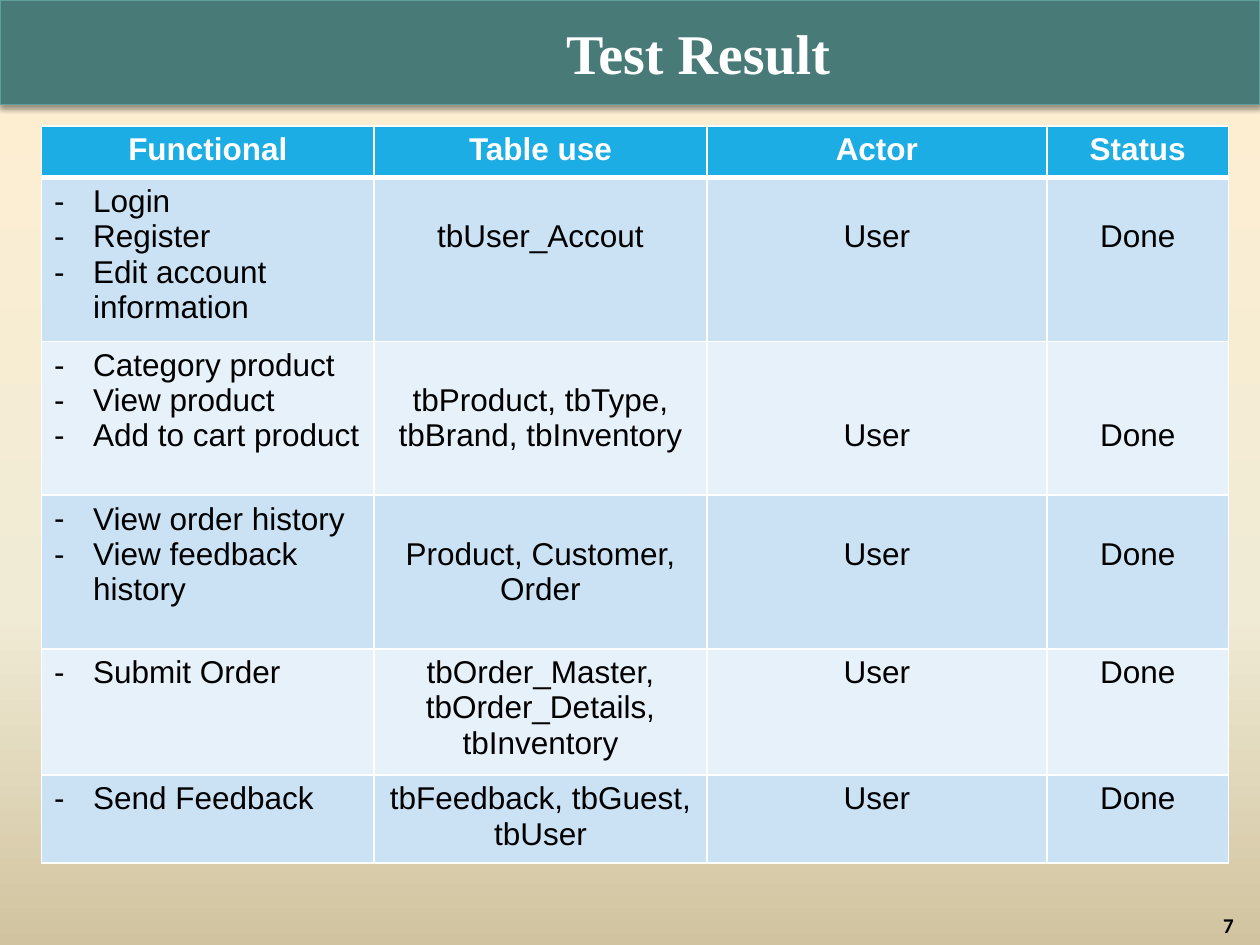
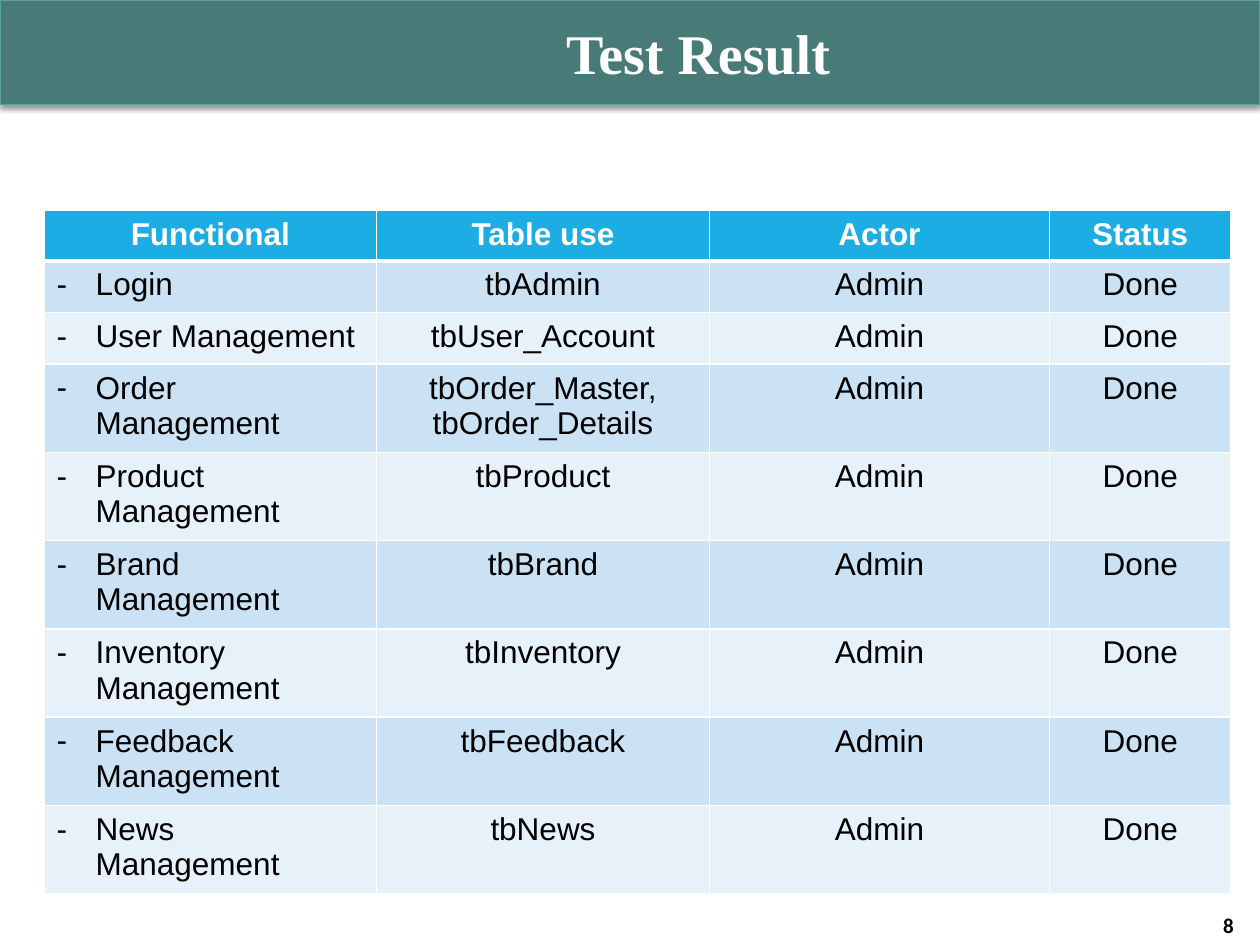
from copy import deepcopy
from dataclasses import dataclass
from typing import Any

from lxml.etree import SubElement
from pptx import Presentation
from pptx.dml.color import RGBColor
from pptx.enum.shapes import MSO_SHAPE as Shape
from pptx.enum.text import MSO_ANCHOR as Anchor, PP_ALIGN as Align
from pptx.oxml.ns import qn
from pptx.util import Emu, Inches, Pt

COLORS = {
    "band": "487B78", "band_line": "5DA09C", "shadow": "000000",
    "white": "FFFFFF", "ink": "000000", "header": "1CADE4",
    "odd_row": "CBE2F5", "even_row": "E7F1FA",
    "sky": "FFEFD1", "haze": "F0EBD5", "sand": "D1C39F",
}

# The slide is a grid of 100 columns by 75 rows with square cells
SLIDE_WIDTH, SLIDE_HEIGHT = Inches(10), Inches(7.5)
GRID_COLUMNS, GRID_ROWS = 100, 75
UNIT = SLIDE_WIDTH / GRID_COLUMNS
BAND_ROWS = 8.3
TABLE_COLUMNS = (26.4, 26.4, 27, 14.4)
LINE_ROWS, CELL_PADDING, MIN_ROW = 2.8, 0.5, 4.1
BULLET_INDENT = 3.1

FORMATS: dict[str, dict[str, Any]] = {
    "title": {"name": "Times New Roman", "size": Pt(32), "bold": True},
    "number": {"name": "Calibri", "size": Pt(12), "bold": True},
    "header": {"name": "Arial", "size": Pt(18), "bold": True},
    "body": {"name": "Arial", "size": Pt(18), "bold": False},
}
HEADINGS = ("Functional", "Table use", "Actor", "Status")


@dataclass(frozen=True)
class Area:
    left: float
    top: float
    width: float
    height: float

    def lengths(self) -> tuple[Emu, ...]:
        return tuple(map(grid, (self.left, self.top, self.width, self.height)))


@dataclass(frozen=True)
class TestRow:
    functions: tuple[str, ...]
    tables: str
    lines: int = 2
    drop: tuple[int, int] = (0, 0)  # lines left free above tables, above actor and status


@dataclass(frozen=True)
class ResultPage:
    number: int
    actor: str
    left: float
    top: float
    header_rows: float
    rows: tuple[TestRow, ...]
    gradient: tuple[tuple[str, float], ...] = ()


PAGES = (
    ResultPage(7, "User", 3.3, 10, 4.1, (
        TestRow(("Login", "Register", "Edit account information"), "tbUser_Accout", 4, (1, 1)),
        TestRow(("Category product", "View product", "Add to cart product"),
                "tbProduct, tbType, tbBrand, tbInventory", 4, (1, 2)),
        TestRow(("View order history", "View feedback history"),
                "Product, Customer, Order", 4, (1, 1)),
        TestRow(("Submit Order",), "tbOrder_Master, tbOrder_Details, tbInventory", 3),
        TestRow(("Send Feedback",), "tbFeedback, tbGuest, tbUser"),
    ), (("sky", 0), ("haze", 0.65), ("sand", 1))),
    ResultPage(8, "Admin", 3.5, 16.7, 3.8, (
        TestRow(("Login",), "tbAdmin", 1),
        TestRow(("User Management",), "tbUser_Account", 1),
        TestRow(("Order Management",), "tbOrder_Master, tbOrder_Details"),
        TestRow(("Product Management",), "tbProduct"),
        TestRow(("Brand Management",), "tbBrand"),
        TestRow(("Inventory Management",), "tbInventory"),
        TestRow(("Feedback Management",), "tbFeedback"),
        TestRow(("News Management",), "tbNews"),
    )),
)


def grid(cells: float) -> Emu:
    return Emu(round(cells * UNIT))


def color(name: str) -> RGBColor:
    return RGBColor.from_string(COLORS[name])


def write(para: Any, text: str, style: str, ink: str, align: Any) -> None:
    para.alignment = align
    span = para.add_run()
    span.text = text
    for key, value in FORMATS[style].items():
        setattr(span.font, key, value)
    span.font.color.rgb = color(ink)


def paint_background(page: Any, stops: tuple[tuple[str, float], ...]) -> None:
    fill = page.background.fill
    if not stops:
        fill.solid()
        fill.fore_color.rgb = color("white")
        return
    fill.gradient()
    fill.gradient_angle = 270
    stop_list = page.element.find(".//" + qn("a:gsLst"))
    while len(stop_list) < len(stops):
        stop_list.append(deepcopy(stop_list[0]))
    for stop, (name, position) in zip(fill.gradient_stops, stops):
        stop.color.rgb = color(name)
        stop.position = position


def add_band(page: Any) -> None:
    band = page.shapes.add_shape(Shape.RECTANGLE, *Area(0, 0, GRID_COLUMNS, BAND_ROWS).lengths())
    band.fill.solid()
    band.fill.fore_color.rgb = color("band")
    band.line.color.rgb = color("band_line")
    band.line.width = Pt(0.75)
    # Soft shadow straight below the band
    band.shadow.inherit = False
    effects = band.element.spPr.find(qn("a:effectLst"))
    shadow = SubElement(effects, qn("a:outerShdw"), blurRad=str(Pt(3.1)),
                        dist=str(Pt(1.6)), dir="5400000", rotWithShape="0")
    tint = SubElement(shadow, qn("a:srgbClr"), val=COLORS["shadow"])
    SubElement(tint, qn("a:alpha"), val="38000")


def add_label(page: Any, area: Area, text: str, style: str, ink: str,
              align: Any, left_inset: float = 1) -> None:
    box = page.shapes.add_textbox(*area.lengths())
    frame = box.text_frame
    settings = {"word_wrap": True, "vertical_anchor": Anchor.MIDDLE,
                "margin_left": grid(left_inset)}
    for key, value in settings.items():
        setattr(frame, key, value)
    write(frame.paragraphs[0], text, style, ink, align)


def add_bullet(para: Any) -> None:
    indent = grid(BULLET_INDENT)
    props = para._p.get_or_add_pPr()
    props.set("marL", str(indent))
    props.set("indent", str(-indent))
    tint = SubElement(props, qn("a:buClr"))
    SubElement(tint, qn("a:srgbClr"), val=COLORS["ink"])
    SubElement(props, qn("a:buFont"), typeface="Arial")
    SubElement(props, qn("a:buChar"), char="-")


def style_cell(cell: Any, row: int) -> None:
    # Borders: a thick line parts the header from the body
    props = cell._tc.get_or_add_tcPr()
    widths = {"L": 1, "R": 1, "T": 3 if row == 1 else 1, "B": 3 if row == 0 else 1}
    for side, width in widths.items():
        line = SubElement(props, qn(f"a:ln{side}"), w=str(Pt(width)))
        SubElement(SubElement(line, qn("a:solidFill")), qn("a:srgbClr"), val=COLORS["white"])
    cell.fill.solid()
    cell.fill.fore_color.rgb = color("header" if row == 0 else "odd_row" if row % 2 else "even_row")


def fill_cell(cell: Any, row: int, texts: tuple[str, ...], drop: int = 0,
              bulleted: bool = False) -> None:
    style_cell(cell, row)
    cell.margin_top = grid(CELL_PADDING + drop * LINE_ROWS)
    style, ink = ("body", "ink") if row else ("header", "white")
    frame = cell.text_frame
    for index, text in enumerate(texts):
        para = frame.add_paragraph() if index else frame.paragraphs[0]
        write(para, text, style, ink, Align.LEFT if bulleted else Align.CENTER)
        if bulleted:
            add_bullet(para)


def add_results(page: Any, content: ResultPage) -> None:
    heights = [content.header_rows] + [
        max(MIN_ROW, row.lines * LINE_ROWS + 2 * CELL_PADDING) for row in content.rows]
    area = Area(content.left, content.top, sum(TABLE_COLUMNS), sum(heights))
    table = page.shapes.add_table(len(heights), len(TABLE_COLUMNS), *area.lengths()).table
    table.horz_banding = False
    for column, width in zip(table.columns, TABLE_COLUMNS):
        column.width = grid(width)
    for table_row, height in zip(table.rows, heights):
        table_row.height = grid(height)

    for column, heading in enumerate(HEADINGS):
        fill_cell(table.cell(0, column), 0, (heading,))
    for index, row in enumerate(content.rows, start=1):
        fill_cell(table.cell(index, 0), index, row.functions, bulleted=True)
        tables_drop, status_drop = row.drop
        details = ((row.tables, tables_drop), (content.actor, status_drop), ("Done", status_drop))
        for column, (text, drop) in enumerate(details, start=1):
            fill_cell(table.cell(index, column), index, (text,), drop)


def build_page(deck: Any, content: ResultPage) -> None:
    page = deck.slides.add_slide(deck.slide_layouts[6])
    paint_background(page, content.gradient)
    add_band(page)
    add_label(page, Area(1.2, GRID_ROWS - 2.5, 97.7, 1.8), str(content.number),
              "number", "ink", Align.RIGHT)
    add_results(page, content)
    add_label(page, Area(3.3, 0.8, 94.2, 6.7), "Test Result", "title", "white",
              Align.CENTER, left_inset=11)


def main() -> None:
    deck = Presentation()
    deck.slide_width, deck.slide_height = SLIDE_WIDTH, SLIDE_HEIGHT
    for content in PAGES:
        build_page(deck, content)
    deck.save("out.pptx")


if __name__ == "__main__":
    main()
